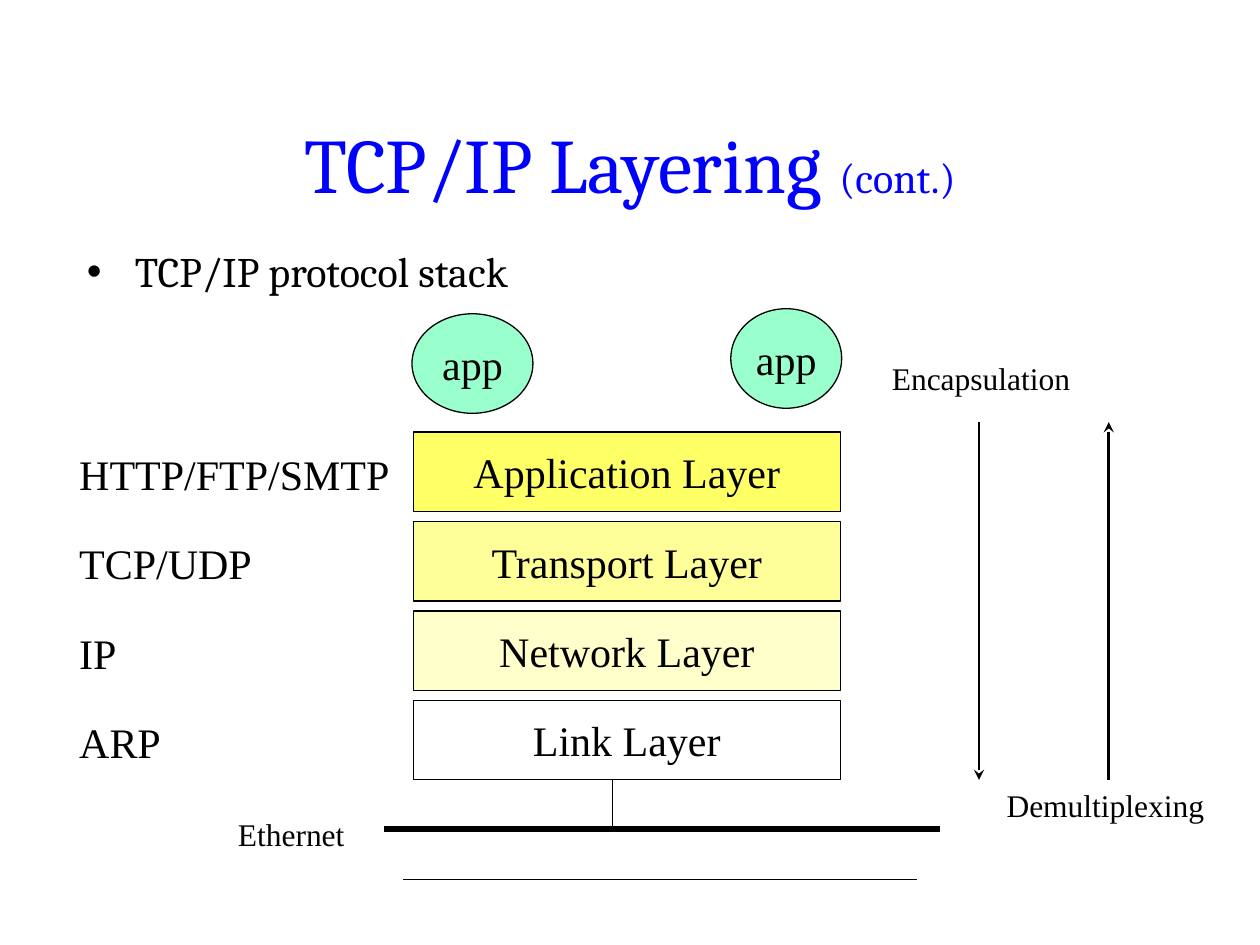
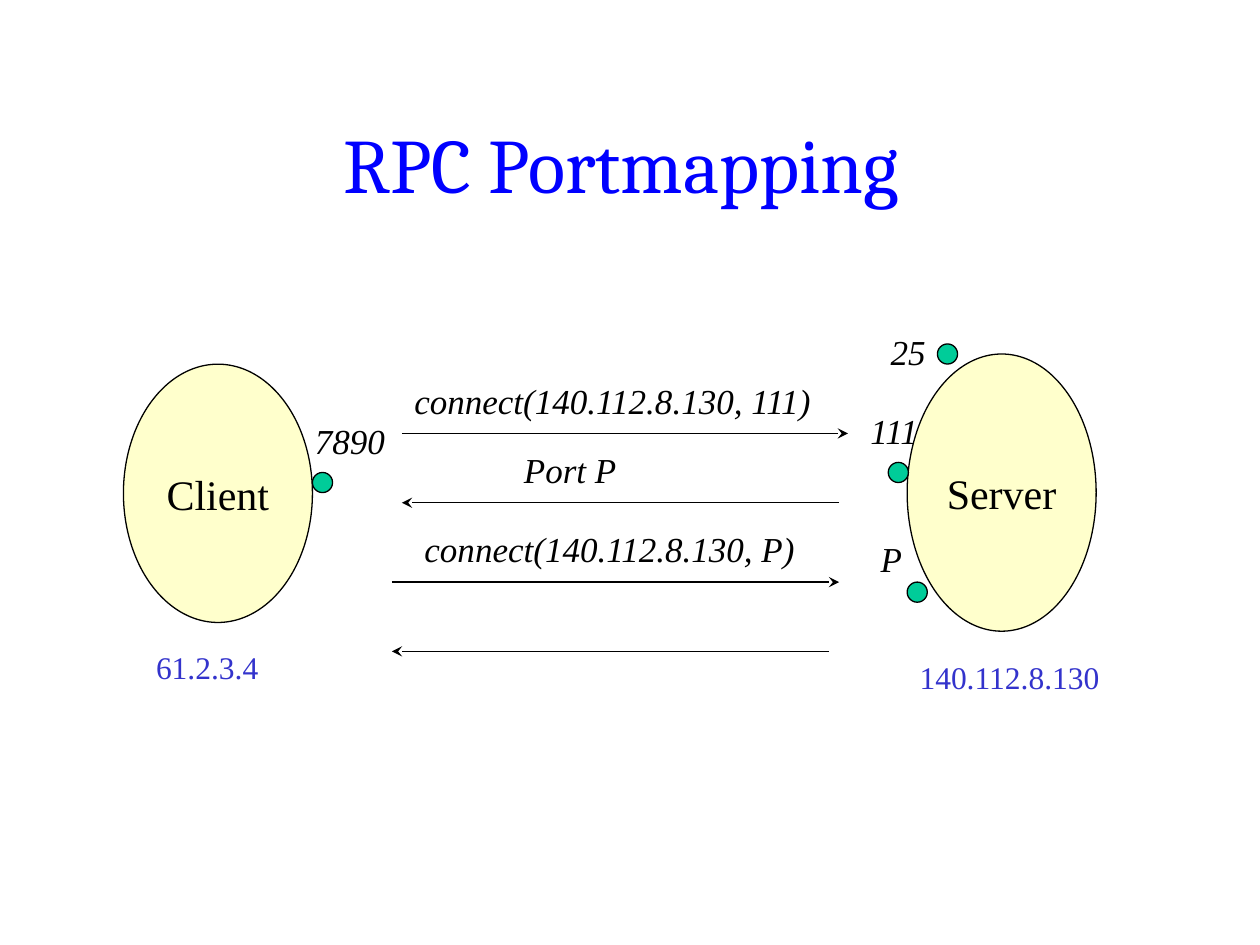
import lxml.etree
import pptx
import pptx.dml.color
import pptx.enum.shapes
import pptx.enum.text
import pptx.oxml.ns
import pptx.util
from dataclasses import dataclass

Inches, Pt = pptx.util.Inches, pptx.util.Pt
Shape = pptx.enum.shapes.MSO_SHAPE
Align = pptx.enum.text.PP_ALIGN
Anchor = pptx.enum.text.MSO_ANCHOR
Fit = pptx.enum.text.MSO_AUTO_SIZE


@dataclass(frozen=True)
class Theme:
    head: str = "Cambria"
    body: str = "Times New Roman"
    title: str = "0000FF"
    ink: str = "000000"
    app: str = "99FFCC"
    host: str = "FFFFCC"
    port: str = "00CC99"
    addr: str = "3333CC"
    huge: int = 44
    large: int = 24
    mid: int = 20
    small: int = 18
    thin: float = 0.75
    bold: float = 1.5
    thick: float = 3


T = Theme()

# Slide 1: (layer, fill, protocols, label width), top to bottom
LAYERS = [
    ("Application Layer", "FFFF66", "HTTP/FTP/SMTP", 2.68),
    ("Transport Layer", "FFFF99", "TCP/UDP", 1.81),
    ("Network Layer", "FFFFCC", "IP", 1.81),
    ("Link Layer", "FFFFFF", "ARP", 1.81),
]
APPS = [(5.8, 2.45, 0.88, 0.79), (3.27, 2.49, 0.96, 0.79)]
NOTES = [
    ("Demultiplexing", 7.89, 6.19, 1.85),
    ("Encapsulation", 6.98, 2.8, 1.73),
    ("Ethernet", 1.79, 6.42, 1.1),
]
FLOWS = [(7.77, 3.35, 7.77, 6.19), (8.8, 6.19, 8.8, 3.35)]
WIRES = [
    ((3.05, 6.58, 7.46, 6.58), T.thick),
    ((4.86, 6.19, 4.86, 6.58), T.thin),
    ((3.2, 6.98, 7.28, 6.98), T.thin),
]

# Slide 2
HOSTS = [
    ("Client", (0.98, 2.89, 1.5, 2.05), "61.2.3.4", (1.14, 5.09, 1.34)),
    ("Server", (7.2, 2.81, 1.5, 2.2), "140.112.8.130", (7.2, 5.17, 2.2)),
]
# (port, dot left and top, label left, top and width)
PORTS = [
    ("7890", (2.48, 3.75), (2.4, 3.28, 0.79)),
    ("25", (7.44, 2.73), (6.97, 2.57, 0.63)),
    ("111", (7.05, 3.67), (6.81, 3.2, 0.63)),
    ("P", (7.2, 4.62), (6.89, 4.22, 0.63)),
]
# (start x, end x, y)
ARROWS = [
    (3.19, 6.73, 3.44),
    (6.66, 3.19, 3.99),
    (3.11, 6.66, 4.62),
    (6.58, 3.11, 5.17),
]
CALLS = [
    ("connect(140.112.8.130, 111)", 3.19, 2.96, 3.47),
    ("Port P", 4.06, 3.51, 1.49),
    ("connect(140.112.8.130, P)", 3.27, 4.14, 3.39),
]


def rgb(code):
    return pptx.dml.color.RGBColor.from_string(code)


def style(font, size, color=T.ink, name=T.body, italic=False):
    font.name, font.size, font.italic = name, Pt(size), italic
    font.color.rgb = rgb(color)


def place(shape, *spot):
    shape.left, shape.top, shape.width, shape.height = map(Inches, spot)


def start(deck, layout, *runs):
    """Add a slide whose title is made of (text, size) runs."""
    slide = deck.slides.add_slide(deck.slide_layouts[layout])
    title = slide.shapes.title
    place(title, 0.75, 0.67, 8.5, 1.25)
    frame = title.text_frame
    frame.auto_size, frame.vertical_anchor = Fit.NONE, Anchor.MIDDLE
    para = frame.paragraphs[0]
    para.alignment = Align.CENTER
    for text, size in runs:
        run = para.add_run()
        run.text = text
        style(run.font, size, T.title, T.head)
    return slide


def bullet(slide, text):
    body = slide.placeholders[1]
    place(body, 0.59, 1.94, 8.5, 0.47)
    body.text_frame.auto_size = Fit.NONE
    para = body.text_frame.paragraphs[0]
    para.text, para.line_spacing = text, 0.9
    style(para.font, T.large, name=T.head)
    props = para._p.get_or_add_pPr()
    props.set("marL", str(Inches(0.38)))
    props.set("indent", str(Inches(-0.38)))


def label(slide, text, left, top, width, size, color=T.ink, italic=False):
    height = {T.large: 0.5, T.mid: 0.43, T.small: 0.4}[size]
    box = slide.shapes.add_textbox(*map(Inches, (left, top, width, height)))
    frame = box.text_frame
    frame.word_wrap, frame.auto_size = True, Fit.SHAPE_TO_FIT_TEXT
    para = frame.paragraphs[0]
    para.text = text
    style(para.font, size, color, italic=italic)


def node(slide, kind, spot, fill, text=""):
    shape = slide.shapes.add_shape(kind, *map(Inches, spot))
    shape.shadow.inherit = False
    shape.fill.solid()
    shape.fill.fore_color.rgb = rgb(fill)
    shape.line.color.rgb = rgb(T.ink)
    shape.line.width = Pt(T.thin)
    if text:
        frame = shape.text_frame
        frame.word_wrap, frame.vertical_anchor = False, Anchor.MIDDLE
        para = frame.paragraphs[0]
        para.text, para.alignment = text, Align.CENTER
        style(para.font, T.large)


def line(slide, ends, width=T.thin, arrow=False):
    link = slide.shapes.add_connector(
        pptx.enum.shapes.MSO_CONNECTOR.STRAIGHT, *map(Inches, ends))
    link.line.color.rgb = rgb(T.ink)
    link.line.width = Pt(width)
    add, qn = lxml.etree.SubElement, pptx.oxml.ns.qn
    props = link._element.spPr
    if arrow:
        add(props.find(qn("a:ln")), qn("a:tailEnd"), type="stealth")
    add(props, qn("a:effectLst"))


def stack(deck):
    slide = start(deck, 1, ("TCP/IP Layering ", T.huge), ("(cont.)", T.large))
    bullet(slide, "TCP/IP protocol stack")
    for i, (name, fill, protos, width) in enumerate(LAYERS):
        top = 3.43 + 0.71 * i
        node(slide, Shape.RECTANGLE, (3.28, top, 3.39, 0.63), fill, name)
        label(slide, protos, 0.53, top + 0.08, width, T.large)
    for ends in FLOWS:
        line(slide, ends, T.bold, arrow=True)
    for note in NOTES:
        label(slide, *note, T.small)
    for ends, width in WIRES:
        line(slide, ends, width)
    for spot in APPS:
        node(slide, Shape.OVAL, spot, T.app, "app")


def ports(deck):
    slide = start(deck, 5, ("RPC Portmapping ", T.huge))
    for name, spot, addr, below in HOSTS:
        node(slide, Shape.OVAL, spot, T.host, name)
        label(slide, addr, *below, T.small, T.addr)
    for x1, x2, y in ARROWS:
        line(slide, (x1, y, x2, y), arrow=True)
    for call in CALLS:
        label(slide, *call, T.mid, italic=True)
    for port, dot, spot in PORTS:
        node(slide, Shape.OVAL, (*dot, 0.16, 0.16), T.port)
        label(slide, port, *spot, T.mid, italic=True)


def main():
    deck = pptx.Presentation()
    deck.slide_width, deck.slide_height = Inches(10), Inches(7.5)
    stack(deck)
    ports(deck)
    deck.save("out.pptx")


if __name__ == "__main__":
    main()
